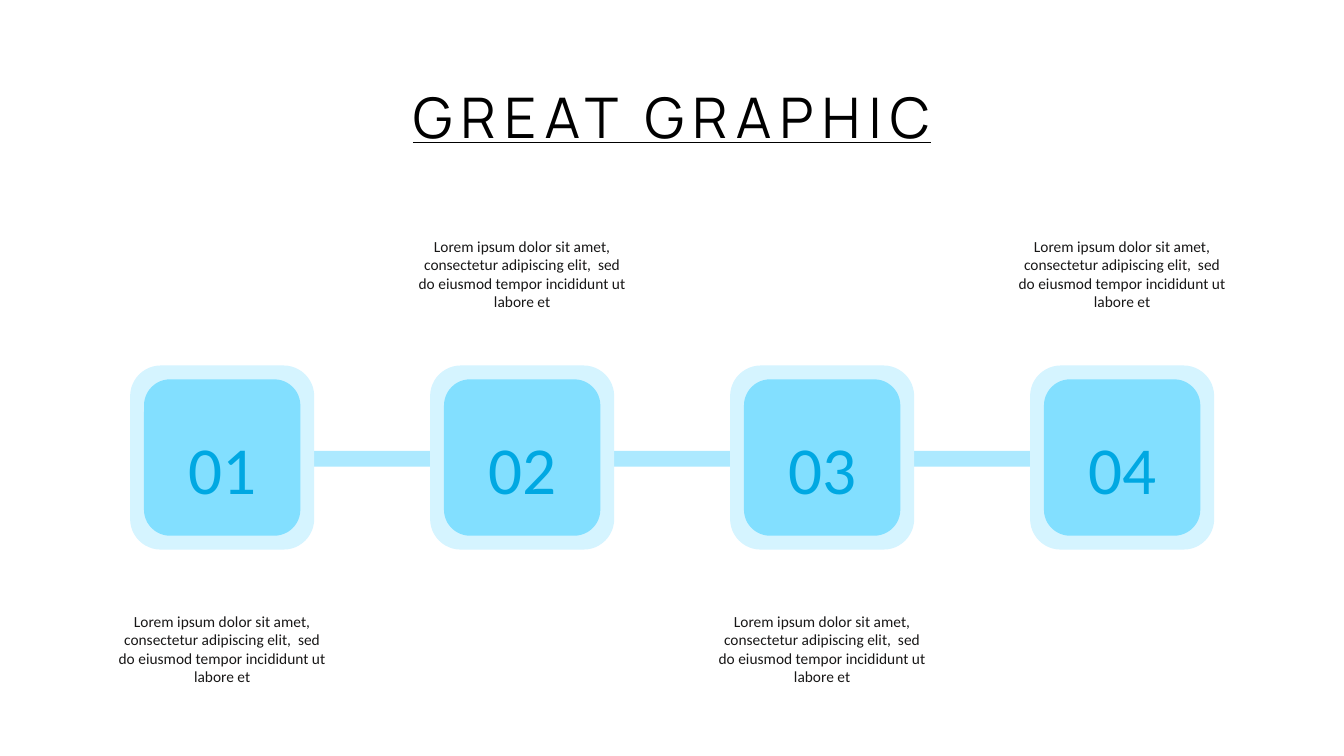
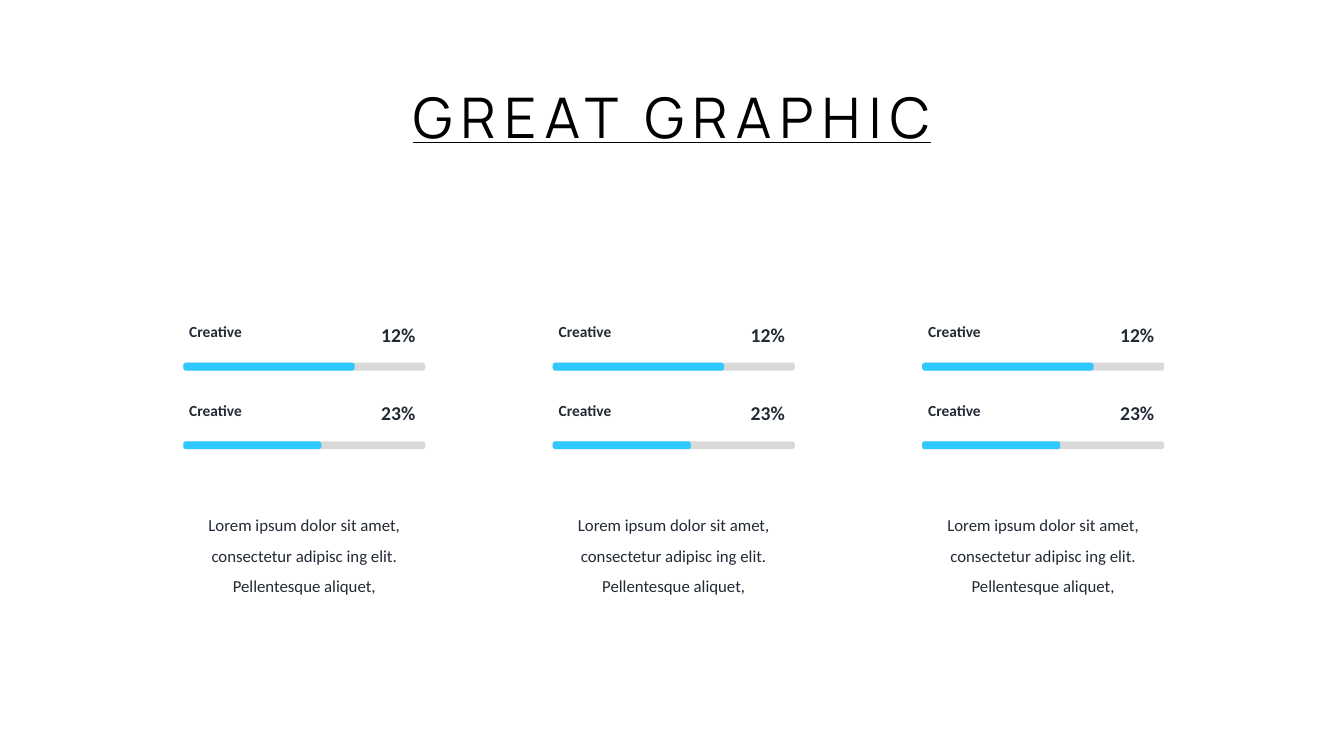
from dataclasses import dataclass

import pptx
import pptx.dml.color
import pptx.enum.shapes
import pptx.enum.text
import pptx.presentation
import pptx.shapes.autoshape
import pptx.slide
import pptx.text.text
import pptx.util

Cm = pptx.util.Cm
RGBColor = pptx.dml.color.RGBColor
Align = pptx.enum.text.PP_ALIGN
Preset = pptx.enum.shapes.MSO_SHAPE

BLACK = RGBColor(0x00, 0x00, 0x00)
CAPTION_INK = RGBColor(0x18, 0x17, 0x17)
SKILL_INK = RGBColor(0x22, 0x2A, 0x35)
NUMBER_BLUE = RGBColor(0x00, 0xA8, 0xE2)
LINK_BLUE = RGBColor(0xAC, 0xE9, 0xFF)
CARD_RIM = RGBColor(0xD5, 0xF4, 0xFF)
CARD_CORE = RGBColor(0x82, 0xDF, 0xFF)
TRACK_GREY = RGBColor(0xD9, 0xD9, 0xD9)
LEVEL_BLUE = RGBColor(0x2F, 0xC9, 0xFF)

TITLE_FONT = "Manrope"
BODY_FONT = "Calibri"
TITLE_ONLY_LAYOUT = 5


@dataclass(frozen=True)
class Box:
    """A rectangle measured in centimetres."""

    left: float
    top: float
    width: float
    height: float

    def lengths(self) -> tuple[pptx.util.Length, ...]:
        return Cm(self.left), Cm(self.top), Cm(self.width), Cm(self.height)


@dataclass(frozen=True)
class Step:
    number: str
    caption_top: float


@dataclass(frozen=True)
class Skill:
    label: str
    percent: str
    level_width: float


TITLE_BOX = Box(9.6, 1.96, 14.66, 1.96)

CAPTION_ABOVE, CAPTION_BELOW = 5.84, 15.29
STEPS = (
    Step("01", CAPTION_BELOW),
    Step("02", CAPTION_ABOVE),
    Step("03", CAPTION_BELOW),
    Step("04", CAPTION_ABOVE),
)
STEP_CAPTION = (
    "Lorem ipsum dolor sit amet,\n"
    "consectetur adipiscing elit,  sed\n"
    "do eiusmod tempor incididunt ut\n"
    "labore et"
)
FIRST_STEP_CENTER, STEP_PITCH = 5.6, 7.56
CARD_MIDDLE = 11.53
RIM_SIZE, CORE_SIZE = 4.64, 3.94

SKILLS = (Skill("Creative", "12%", 4.32), Skill("Creative", "23%", 3.48))
SKILL_SUMMARY = (
    "Lorem ipsum dolor sit amet, consectetur adipisc ing elit. "
    "Pellentesque aliquet,"
)
COLUMN_COUNT = 3
FIRST_COLUMN, COLUMN_PITCH = 4.62, 9.31
FIRST_ROW, ROW_PITCH = 8.0, 1.98
TRACK_WIDTH, TRACK_HEIGHT = 6.1, 0.2
PERCENT_WIDTH = 1.78


def write_text(
    frame: pptx.text.text.TextFrame,
    text: str,
    *,
    size: float,
    color: RGBColor,
    font: str = BODY_FONT,
    align: Align = Align.CENTER,
    bold: bool = False,
    underline: bool = False,
    letter_spacing: float = 0,
    line_spacing: float = 1.0,
    wrap: bool = True,
) -> None:
    """Fill the frame, one paragraph per line; letter_spacing is in points."""
    frame.text = text
    frame.word_wrap = wrap
    frame.auto_size = pptx.enum.text.MSO_AUTO_SIZE.SHAPE_TO_FIT_TEXT
    frame.vertical_anchor = pptx.enum.text.MSO_ANCHOR.TOP
    for paragraph in frame.paragraphs:
        paragraph.alignment = align
        paragraph.line_spacing = line_spacing
        for run in paragraph.runs:
            run.font.name = font
            run.font.size = pptx.util.Pt(size)
            run.font.bold = bold
            run.font.underline = underline
            run.font.color.rgb = color
            if letter_spacing:
                run.font._element.set("spc", str(round(letter_spacing * 100)))


def add_text(slide: pptx.slide.Slide, text: str, box: Box, **text_format) -> None:
    write_text(slide.shapes.add_textbox(*box.lengths()).text_frame, text, **text_format)


def add_block(
    slide: pptx.slide.Slide,
    box: Box,
    color: RGBColor,
    preset: Preset = Preset.ROUNDED_RECTANGLE,
) -> pptx.shapes.autoshape.Shape:
    block = slide.shapes.add_shape(preset, *box.lengths())
    block.shadow.inherit = False
    block.fill.solid()
    block.fill.fore_color.rgb = color
    block.line.fill.background()
    return block


def add_titled_slide(deck: pptx.presentation.Presentation) -> pptx.slide.Slide:
    slide = deck.slides.add_slide(deck.slide_layouts[TITLE_ONLY_LAYOUT])
    title = slide.shapes.title
    title.left, title.top, title.width, title.height = TITLE_BOX.lengths()
    write_text(
        title.text_frame,
        "GREAT GRAPHIC",
        size=40,
        color=BLACK,
        font=TITLE_FONT,
        underline=True,
        letter_spacing=6,
        wrap=False,
    )
    return slide


def add_step(slide: pptx.slide.Slide, step: Step, center: float) -> None:
    for size, color in ((RIM_SIZE, CARD_RIM), (CORE_SIZE, CARD_CORE)):
        card = Box(center - size / 2, CARD_MIDDLE - size / 2, size, size)
        add_block(slide, card, color)
    add_text(
        slide, step.number, Box(center - 1.6, 10.64, 3.2, 2.39),
        size=48, color=NUMBER_BLUE,
    )
    add_text(
        slide, STEP_CAPTION, Box(center - 4.5, step.caption_top, 9, 2.13),
        size=11, color=CAPTION_INK,
    )


def build_steps_slide(deck: pptx.presentation.Presentation) -> None:
    slide = add_titled_slide(deck)
    link_width = STEP_PITCH * (len(STEPS) - 1) + CORE_SIZE
    link = Box(FIRST_STEP_CENTER - CORE_SIZE / 2, 11.36, link_width, 0.4)
    add_block(slide, link, LINK_BLUE, Preset.RECTANGLE)
    for index, step in enumerate(STEPS):
        add_step(slide, step, FIRST_STEP_CENTER + index * STEP_PITCH)


def add_skill(slide: pptx.slide.Slide, skill: Skill, left: float, top: float) -> None:
    add_text(
        slide, skill.label, Box(left - 0.1, top, 3.6, 0.73),
        size=11, color=SKILL_INK, align=Align.LEFT, bold=True,
    )
    percent_left = left + TRACK_WIDTH - PERCENT_WIDTH
    add_text(
        slide, skill.percent, Box(percent_left, top, PERCENT_WIDTH, 0.86),
        size=14, color=SKILL_INK, align=Align.RIGHT, bold=True,
    )
    for width, color in ((TRACK_WIDTH, TRACK_GREY), (skill.level_width, LEVEL_BLUE)):
        bar = add_block(slide, Box(left, top + 1.14, width, TRACK_HEIGHT), color)
        bar.adjustments[0] = 0.35


def build_skills_slide(deck: pptx.presentation.Presentation) -> None:
    slide = add_titled_slide(deck)
    for column in range(COLUMN_COUNT):
        left = FIRST_COLUMN + column * COLUMN_PITCH
        for row, skill in enumerate(SKILLS):
            add_skill(slide, skill, left, FIRST_ROW + row * ROW_PITCH)
        add_text(
            slide, SKILL_SUMMARY, Box(left - 0.44, 12.6, 6.98, 2.49),
            size=12, color=SKILL_INK, line_spacing=1.5,
        )


def main() -> None:
    deck = pptx.Presentation()
    deck.slide_width, deck.slide_height = Cm(33.87), Cm(19.05)
    build_steps_slide(deck)
    build_skills_slide(deck)
    deck.save("out.pptx")


if __name__ == "__main__":
    main()
